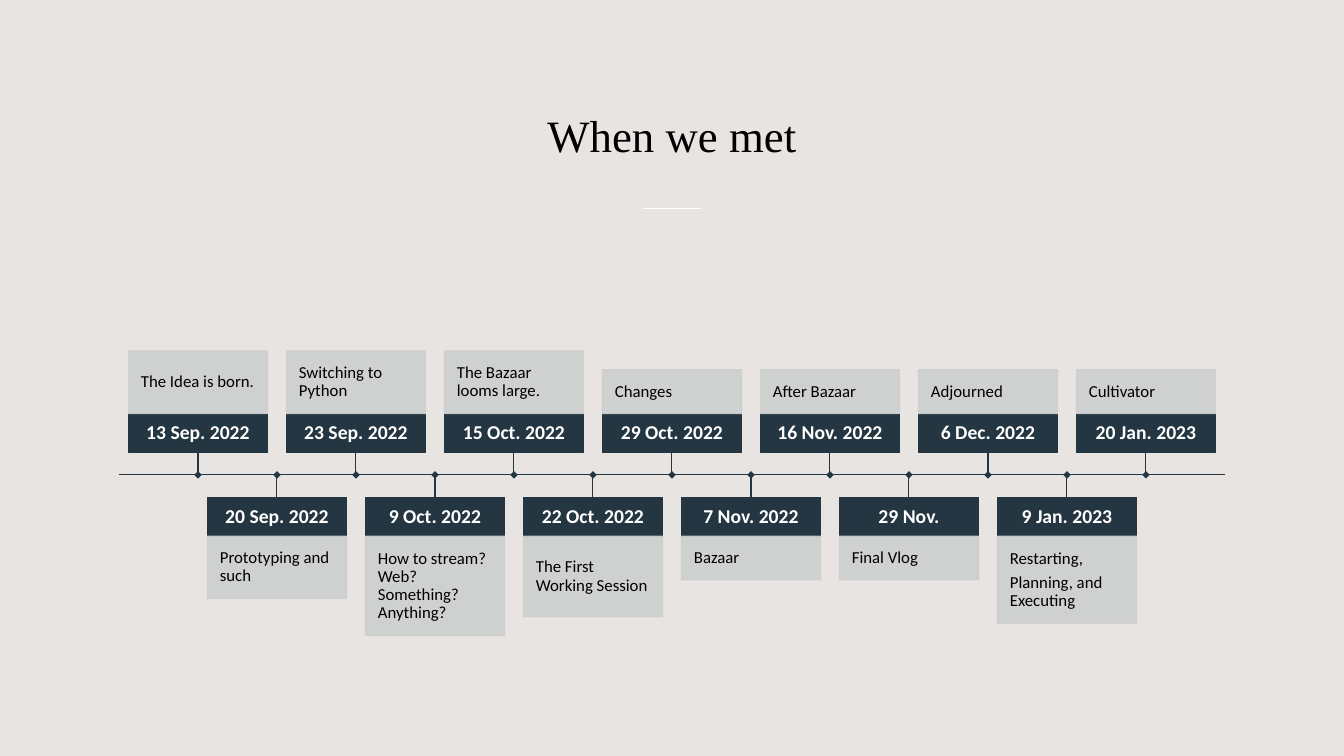
import dataclasses

import lxml.etree
import pptx
import pptx.dml.color
import pptx.enum.shapes
import pptx.enum.text
import pptx.oxml.ns
import pptx.util

Pt = pptx.util.Pt
ALIGN = pptx.enum.text.PP_ALIGN
ANCHOR = pptx.enum.text.MSO_ANCHOR
RECTANGLE = pptx.enum.shapes.MSO_SHAPE.RECTANGLE


@dataclasses.dataclass(frozen=True)
class Theme:
    background: str = "E8E4E2"
    navy: str = "243641"
    grey: str = "CDCECF"
    white: str = "FFFFFF"
    black: str = "000000"
    title_font: str = "Times New Roman"
    body_font: str = "Calibri"
    title_size: int = 32
    date_size: int = 14
    event_size: int = 12
    hairline: float = 0.75
    rule: float = 1
    card_opacity: int = 90


THEME = Theme()

# Date, event, height of the event card; cards alternate above and below the axis
MEETINGS = [
    ("13 Sep. 2022", "The Idea is born.", 44.8),
    ("20 Sep. 2022", "Prototyping and such", 44.8),
    ("23 Sep. 2022", "Switching to Python", 44.8),
    ("9 Oct. 2022", "How to stream? Web? Something? Anything?", 71.1),
    ("15 Oct. 2022", "The Bazaar looms large.", 44.8),
    ("22 Oct. 2022", "The First Working Session", 57.8),
    ("29 Oct. 2022", "Changes", 31.4),
    ("7 Nov. 2022", "Bazaar", 31.4),
    ("16 Nov. 2022", "After Bazaar", 31.4),
    ("29 Nov.", "Final Vlog", 31.4),
    ("6 Dec. 2022", "Adjourned", 31.4),
    ("9 Jan. 2023", "Restarting,\nPlanning, and Executing", 62.6),
    ("20 Jan. 2023", "Cultivator", 31.4),
]


def rgb(color):
    return pptx.dml.color.RGBColor.from_string(color)


def style_text(frame, font, size, color, bold=False, align=ALIGN.LEFT):
    for paragraph in frame.paragraphs:
        paragraph.alignment = align
        for run in paragraph.runs:
            run.font.name = font
            run.font.size = Pt(size)
            run.font.bold = bold
            run.font.color.rgb = rgb(color)


def add_line(slide, x1, y1, x2, y2, color, width):
    line = slide.shapes.add_connector(
        pptx.enum.shapes.MSO_CONNECTOR.STRAIGHT, Pt(x1), Pt(y1), Pt(x2), Pt(y2))
    line.line.color.rgb = rgb(color)
    line.line.width = Pt(width)
    lxml.etree.SubElement(line._element.spPr, pptx.oxml.ns.qn("a:effectLst"))
    return line


def add_block(slide, left, top, width, height, color):
    block = slide.shapes.add_shape(RECTANGLE, Pt(left), Pt(top), Pt(width), Pt(height))
    block.shadow.inherit = False
    block.fill.solid()
    block.fill.fore_color.rgb = rgb(color)
    block.line.color.rgb = rgb(color)
    block.line.width = Pt(THEME.hairline)
    return block


def fill_block(block, text, inset):
    frame = block.text_frame
    frame.text = text
    frame.word_wrap = True
    frame.vertical_anchor = ANCHOR.MIDDLE
    frame.margin_left = frame.margin_right = Pt(inset)
    frame.margin_top = frame.margin_bottom = Pt(inset)
    for paragraph in frame.paragraphs:
        paragraph.line_spacing = 0.9
    for paragraph in frame.paragraphs[:-1]:
        paragraph.space_after = Pt(4.2)
    return frame


def make_translucent(block, percent):
    for color in block._element.spPr.iter(pptx.oxml.ns.qn("a:srgbClr")):
        alpha = lxml.etree.SubElement(color, pptx.oxml.ns.qn("a:alpha"))
        alpha.set("val", str(percent * 1000))


def build_heading(slide, left, top, width, height):
    title = slide.shapes.title
    title.left, title.top, title.width, title.height = map(Pt, (left, top, width, height))
    frame = title.text_frame
    frame.text = "When we met"
    frame.auto_size = pptx.enum.text.MSO_AUTO_SIZE.NONE
    frame.vertical_anchor = ANCHOR.BOTTOM
    style_text(frame, THEME.title_font, THEME.title_size, THEME.black, align=ALIGN.CENTER)

    # Short rule below the title
    rule_width, rule_y = 42, top + height + 30
    rule_left = left + (width - rule_width) / 2
    add_line(slide, rule_left, rule_y, rule_left + rule_width, rule_y,
             THEME.white, THEME.rule)


def build_meeting(slide, center, axis_y, above, date, event, event_height):
    width, date_height, stem_length, marker_size = 99.4, 27.7, 16, 3.8
    left = center - width / 2
    if above:
        date_top = axis_y - stem_length - date_height
        event_top, stem_start, date_side = date_top - event_height, date_top + date_height, 2
    else:
        date_top = axis_y + stem_length
        event_top, stem_start, date_side = date_top + date_height, date_top, 0

    # Date label
    date_label = add_block(slide, left, date_top, width, date_height, THEME.navy)
    style_text(fill_block(date_label, date, 5.5), THEME.body_font, THEME.date_size,
               THEME.white, bold=True, align=ALIGN.CENTER)

    # Event card
    event_card = add_block(slide, left, event_top, width, event_height, THEME.grey)
    make_translucent(event_card, THEME.card_opacity)
    style_text(fill_block(event_card, event, 8.9), THEME.body_font, THEME.event_size,
               THEME.black)

    # Stem and marker on the axis
    stem = add_line(slide, center, stem_start, center, axis_y, THEME.navy, THEME.hairline)
    stem.begin_connect(date_label, date_side)
    marker = add_block(slide, center - marker_size / 2, axis_y - marker_size / 2,
                       marker_size, marker_size, THEME.navy)
    marker.line.fill.background()
    marker.rotation = 45


def build_timeline(slide, left, top, width, height):
    axis_y = top + height / 2
    add_line(slide, left, axis_y, left + width, axis_y, THEME.navy, THEME.hairline)
    pitch = width / (len(MEETINGS) + 1)
    for index, (date, event, event_height) in enumerate(MEETINGS):
        build_meeting(slide, left + pitch * (index + 1), axis_y, index % 2 == 0,
                      date, event, event_height)


def main():
    presentation = pptx.Presentation()
    presentation.slide_width, presentation.slide_height = Pt(960), Pt(540)
    slide = presentation.slides.add_slide(presentation.slide_layouts[5])
    slide.background.fill.solid()
    slide.background.fill.fore_color.rgb = rgb(THEME.background)
    build_heading(slide, 78, 31, 804, 88)
    build_timeline(slide, 85, 224.2, 790, 230)
    presentation.save("out.pptx")


if __name__ == "__main__":
    main()
